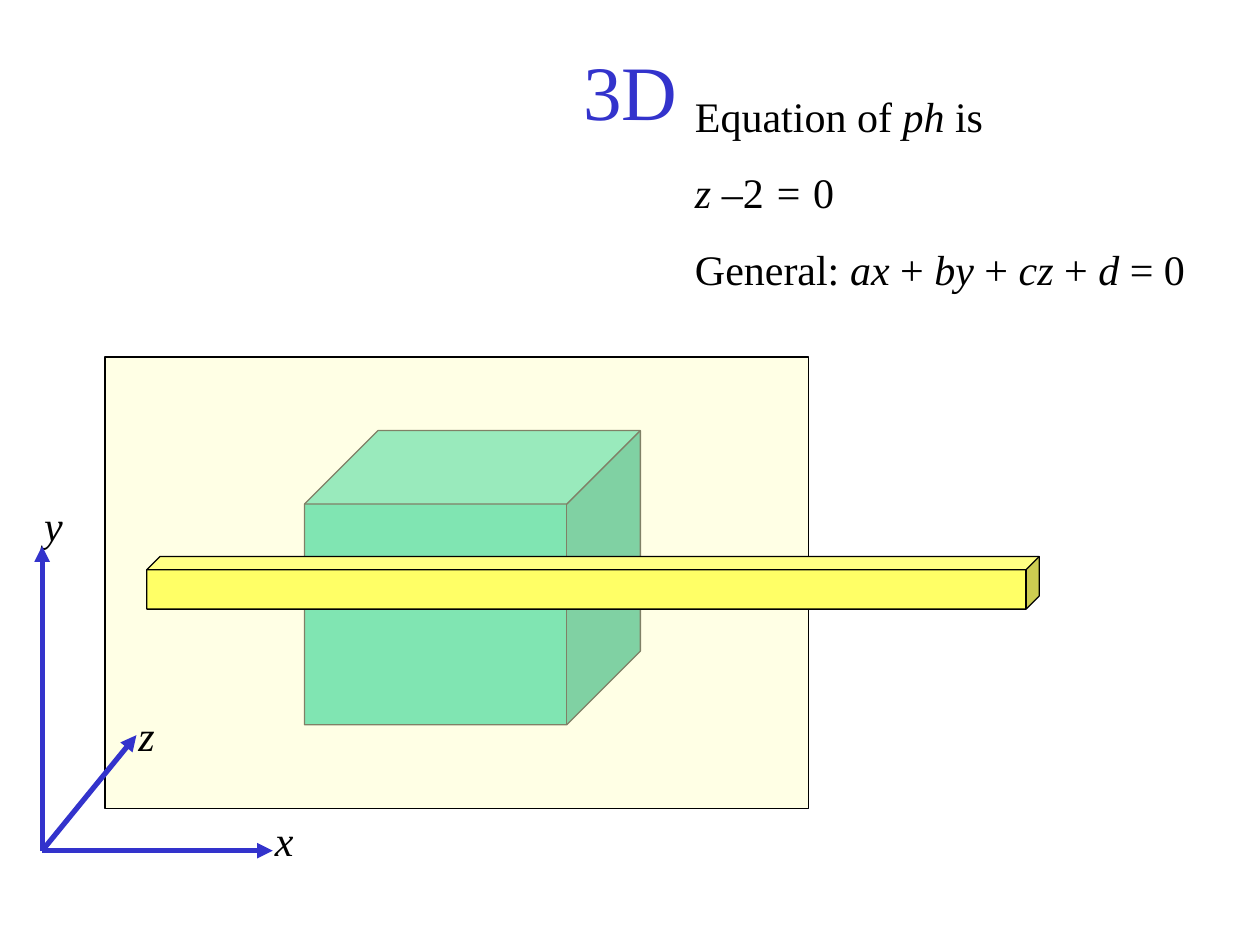
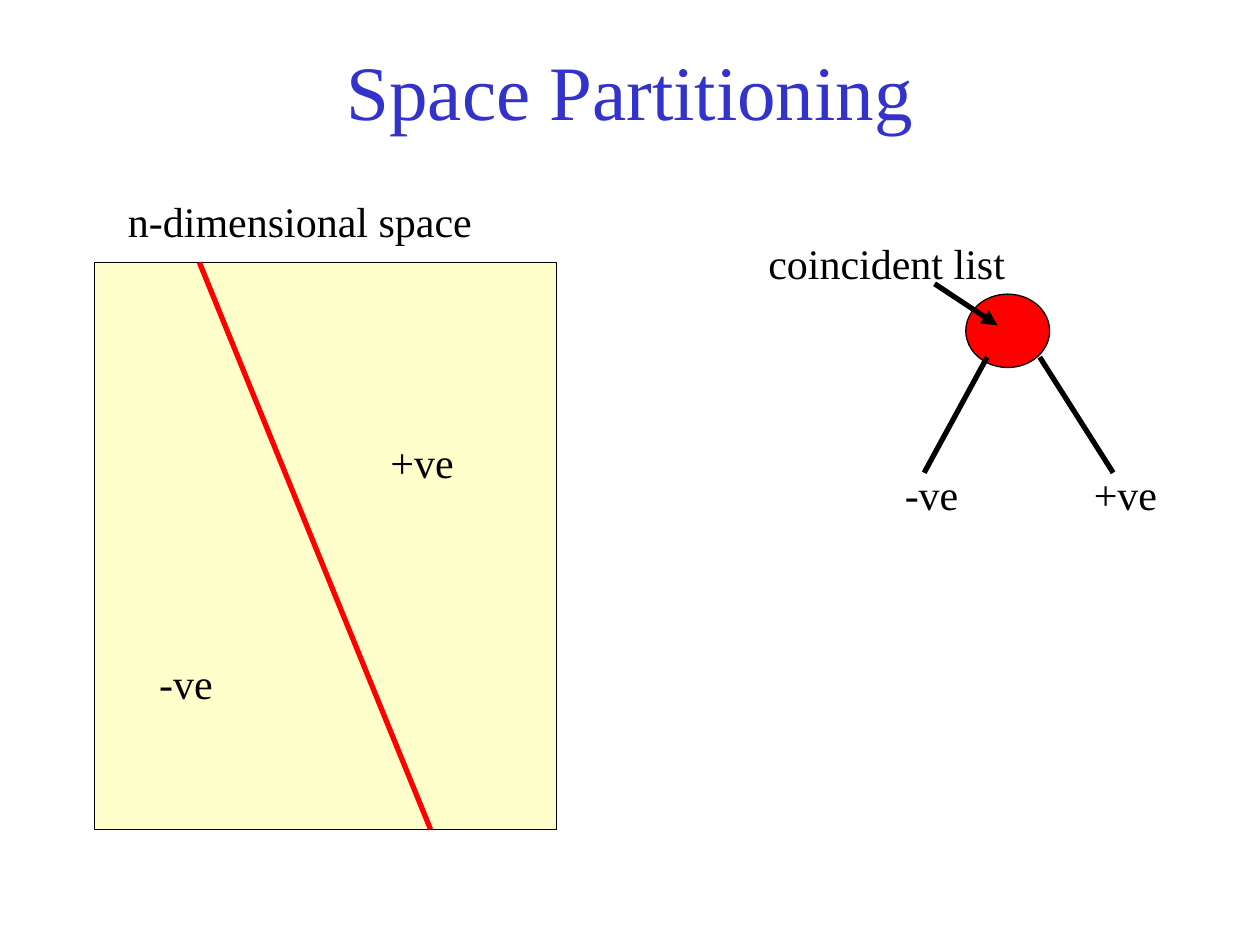
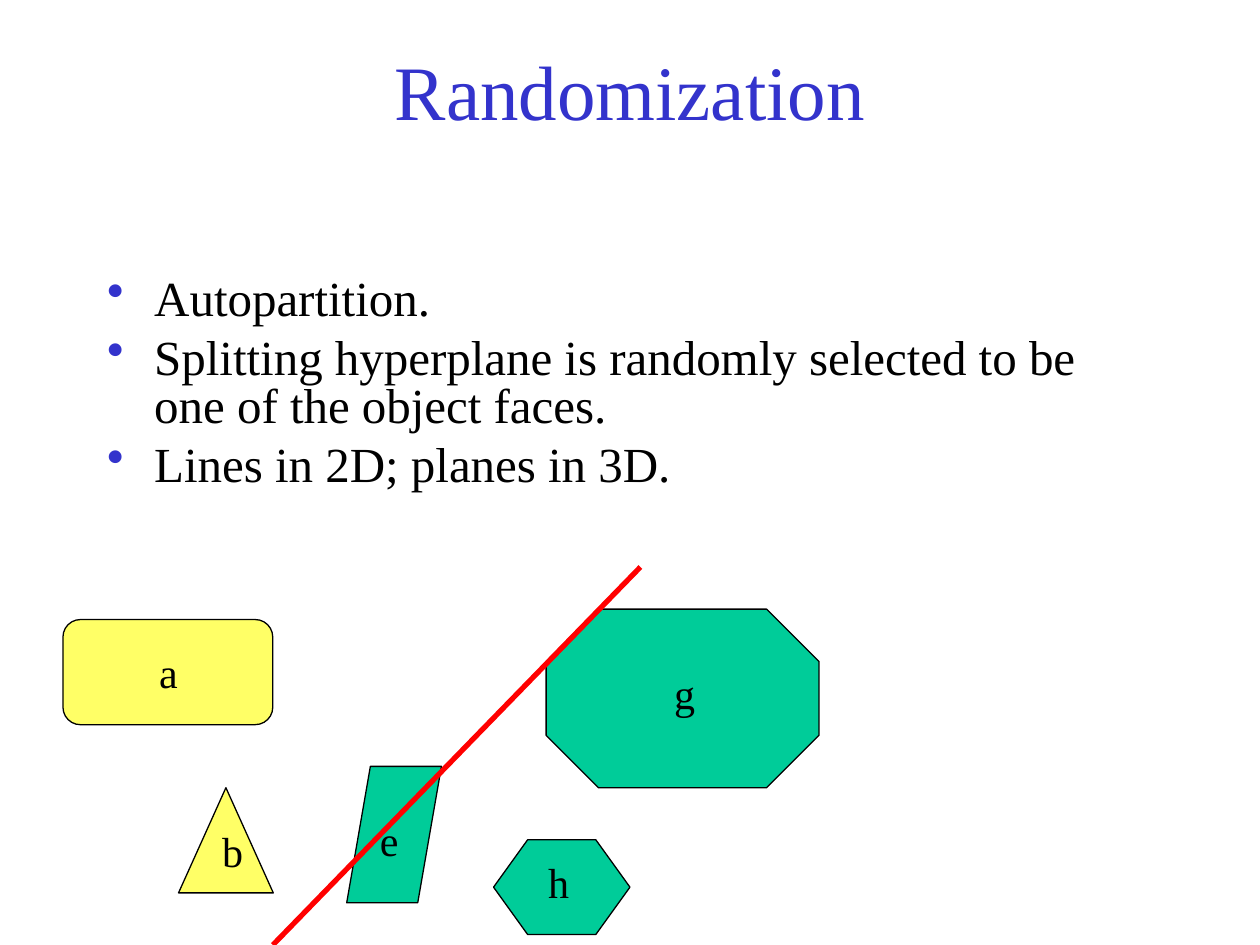
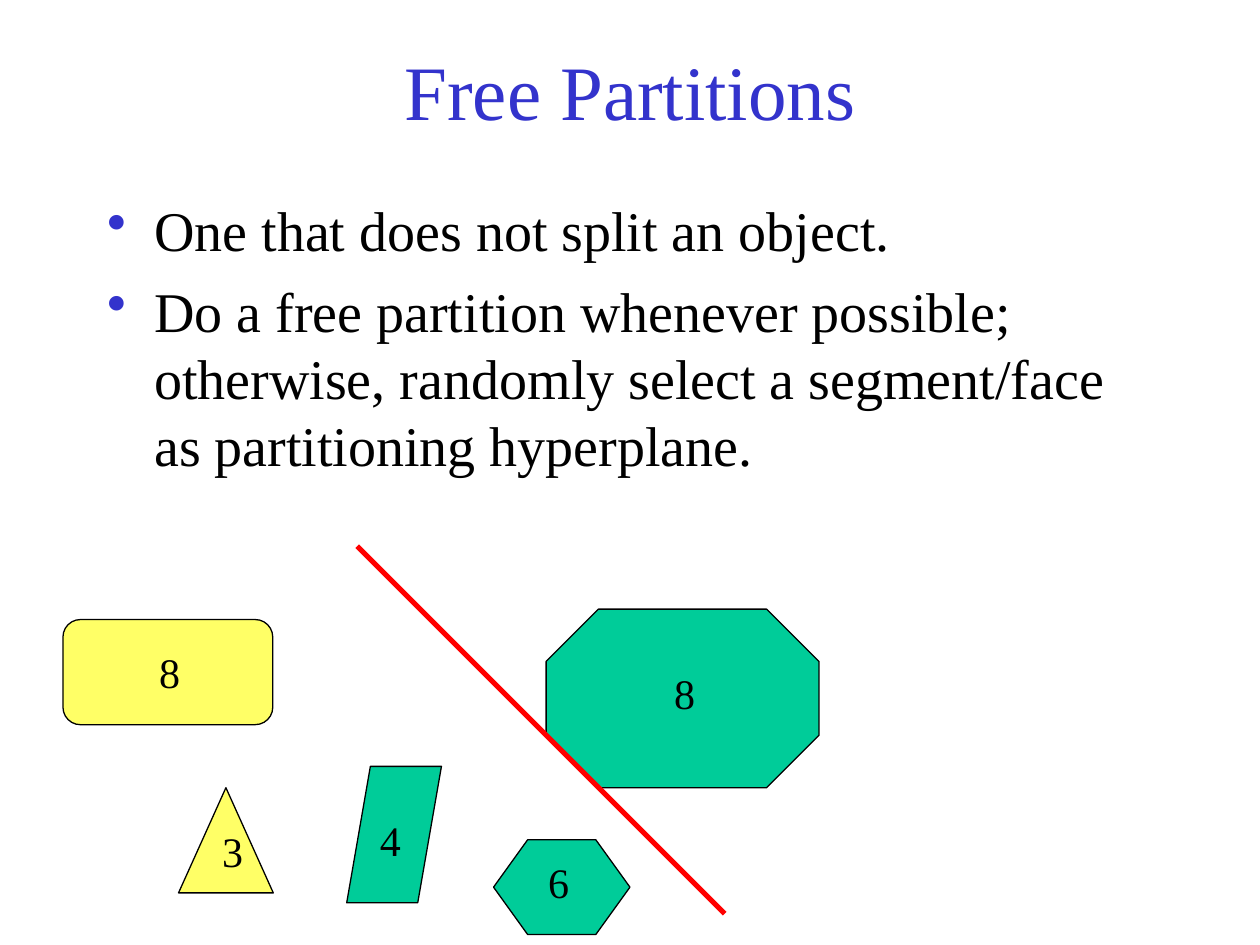
from lxml import etree
from pptx import Presentation
from pptx.dml.color import RGBColor
from pptx.enum.shapes import MSO_CONNECTOR, MSO_SHAPE
from pptx.enum.text import MSO_ANCHOR, MSO_AUTO_SIZE, PP_ALIGN
from pptx.oxml.ns import qn
from pptx.util import Cm, Pt

LINE = MSO_CONNECTOR.STRAIGHT
CUBE = MSO_SHAPE.CUBE
RECT = MSO_SHAPE.RECTANGLE
OVAL = MSO_SHAPE.OVAL
ROUND = MSO_SHAPE.ROUNDED_RECTANGLE
HEXA = MSO_SHAPE.HEXAGON
CONE = MSO_SHAPE.ISOSCELES_TRIANGLE
SLANT = MSO_SHAPE.PARALLELOGRAM
OCTA = MSO_SHAPE.OCTAGON
GROW = MSO_AUTO_SIZE.SHAPE_TO_FIT_TEXT
MIDDLE = MSO_ANCHOR.MIDDLE
CENTER = PP_ALIGN.CENTER

FONT = "Times New Roman"
BLUE, BLACK, RED = "3333CC", "000000", "FF0000"
GREEN, YELLOW, CREAM = "00CC99", "FFFF66", "FFFFCC"
GLASS = CREAM + "80"


def paint(fill, code):
    """Fill with a hex colour; a fourth byte gives the opacity."""
    fill.solid()
    fill.fore_color.rgb = RGBColor.from_string(code[:6])
    if code[6:]:
        share = round(int(code[6:], 16) / 255 * 100)
        color = fill._xPr.find(qn("a:solidFill"))[0]
        etree.SubElement(color, qn("a:alpha"), val=str(share * 1000))


def write(frame, lines, size, color=BLACK, gap=0):
    """Write one paragraph per line; parts between asterisks are italic."""
    frame.word_wrap = True
    for i, line in enumerate(lines):
        para = frame.add_paragraph() if i else frame.paragraphs[0]
        if i:
            para.space_before = Pt(gap)
        for j, part in enumerate(line.split("*")):
            if part:
                run = para.add_run()
                run.text = part
                run.font.name = FONT
                run.font.size = Pt(size)
                run.font.italic = j % 2 == 1
                paint(run.font.fill, color)


# The five objects that the last two slides share
objects = [
    (ROUND, 1.27, 12.49, 4.23, 2.12, YELLOW),
    (HEXA, 9.95, 16.93, 2.75, 1.91, GREEN),
    (CONE, 3.6, 15.88, 1.91, 2.12, YELLOW),
    (SLANT, 6.99, 15.45, 1.91, 2.75, GREEN),
    (OCTA, 11.01, 12.28, 5.5, 3.6, GREEN),
]
spots = [(2.96, 12.91), (4.23, 16.51), (13.34, 13.34), (7.41, 16.3), (10.8, 17.15)]
letters, counts = [
    [(x, y, 0.85, 1.27, [name]) for (x, y), name in zip(spots, names)]
    for names in ("abgeh", "83846")
]

# Body: top, height, text size, space before, line spacing, lines
random_body = (5.5, 4.66, 28, 7, 0.8, [
    "Autopartition.",
    "Splitting hyperplane is randomly selected to be one of the object faces.",
    "Lines in 2D; planes in 3D.",
])
free_body = (3.81, 11.43, 32, 8, 1.0, [
    "One that does not split an object.",
    "Do a free partition whenever possible; otherwise, randomly select "
    "a segment/face as partitioning hyperplane.",
])

# Slide: title, body, shapes, labels, lines (ends, colour, arrow)
slides = [
    ("3D", None, [
        (CUBE, 6.14, 8.68, 6.77, 5.93, GREEN),
        (RECT, 2.12, 7.2, 14.18, 9.1, GLASS),
        (CUBE, 2.96, 11.22, 17.99, 1.06, YELLOW),
    ], [
        (5.29, 16.3, 1.27, 1.27, ["*x*"]),
        (2.54, 14.18, 1.27, 1.27, ["*z*"]),
        (0.64, 9.95, 1.27, 1.27, ["*y*"]),
        (13.76, 1.69, 10.8, 4.37, [
            "Equation of *ph* is",
            "*z –*2* = *0",
            "General: *ax *+ *by* + *cz* + *d* = 0",
        ]),
    ], [
        (0.85, 17.15, 0.85, 11.01, BLUE, True),
        (0.85, 17.15, 5.5, 17.15, BLUE, True),
        (0.85, 17.15, 2.75, 14.82, BLUE, True),
    ]),
    ("Space Partitioning", None, [
        (RECT, 1.91, 5.29, 9.31, 11.43, CREAM),
        (OVAL, 19.47, 5.93, 1.69, 1.48, RED),
    ], [
        (2.33, 3.81, 8.47, 1.27, ["n-dimensional space"]),
        (17.99, 9.31, 1.91, 1.27, ["-ve"]),
        (21.8, 9.31, 1.91, 1.27, ["+ve"]),
        (2.96, 13.12, 1.91, 1.27, ["-ve"]),
        (7.62, 8.68, 1.91, 1.27, ["+ve"]),
        (15.24, 4.66, 7.62, 1.27, ["coincident list"]),
    ], [
        (4.02, 5.29, 8.68, 16.72, RED, False),
        (19.9, 7.2, 18.63, 9.53, BLACK, False),
        (20.96, 7.2, 22.44, 9.53, BLACK, False),
        (18.84, 5.72, 20.11, 6.56, BLACK, True),
    ]),
    ("Randomization", random_body, objects, letters,
     [(12.91, 11.43, 5.5, 19.05, RED, False)]),
    ("Free Partitions", free_body, objects, counts,
     [(7.2, 11.01, 14.61, 18.42, RED, False)]),
]

deck = Presentation()
deck.slide_width, deck.slide_height = Cm(25.4), Cm(19.05)

for title, body, shapes, labels, lines in slides:
    slide = deck.slides.add_slide(deck.slide_layouts[5])
    head = slide.shapes.title
    head.left, head.top, head.width, head.height = Cm(1.91), Cm(0.21), Cm(21.59), Cm(3.18)
    write(head.text_frame, [title], 44, BLUE)
    head.text_frame.vertical_anchor = MIDDLE
    head.text_frame.paragraphs[0].alignment = CENTER

    if body:
        top, height, size, gap, pitch, points = body
        box = slide.shapes.add_textbox(Cm(1.91), Cm(top), Cm(21.59), Cm(height))
        write(box.text_frame, points, size, gap=gap)
        for para in box.text_frame.paragraphs:
            para.line_spacing = pitch
            props = para._p.get_or_add_pPr()
            props.set("marL", str(Cm(0.95)))
            props.set("indent", str(Cm(-0.95)))
            tint = etree.SubElement(props, qn("a:buClr"))
            etree.SubElement(tint, qn("a:srgbClr"), val=BLUE)
            etree.SubElement(props, qn("a:buChar"), char="•")

    for kind, x, y, w, h, color in shapes:
        shape = slide.shapes.add_shape(kind, Cm(x), Cm(y), Cm(w), Cm(h))
        shape.shadow.inherit = False
        paint(shape.fill, color)
        paint(shape.line.fill, BLACK)
        shape.line.width = Pt(0.75)
        if kind == HEXA:
            shape.adjustments[0] = 0.36

    for x, y, w, h, text in labels:
        box = slide.shapes.add_textbox(Cm(x), Cm(y), Cm(w), Cm(h))
        write(box.text_frame, text, 24, gap=15)
        box.text_frame.auto_size = GROW

    for x1, y1, x2, y2, color, arrow in lines:
        line = slide.shapes.add_connector(LINE, Cm(x1), Cm(y1), Cm(x2), Cm(y2))
        paint(line.line.fill, color)
        line.line.width = Pt(3)
        if arrow:
            etree.SubElement(line.line._get_or_add_ln(), qn("a:tailEnd"), type="triangle")
        etree.SubElement(line._element.spPr, qn("a:effectLst"))

deck.save("out.pptx")
